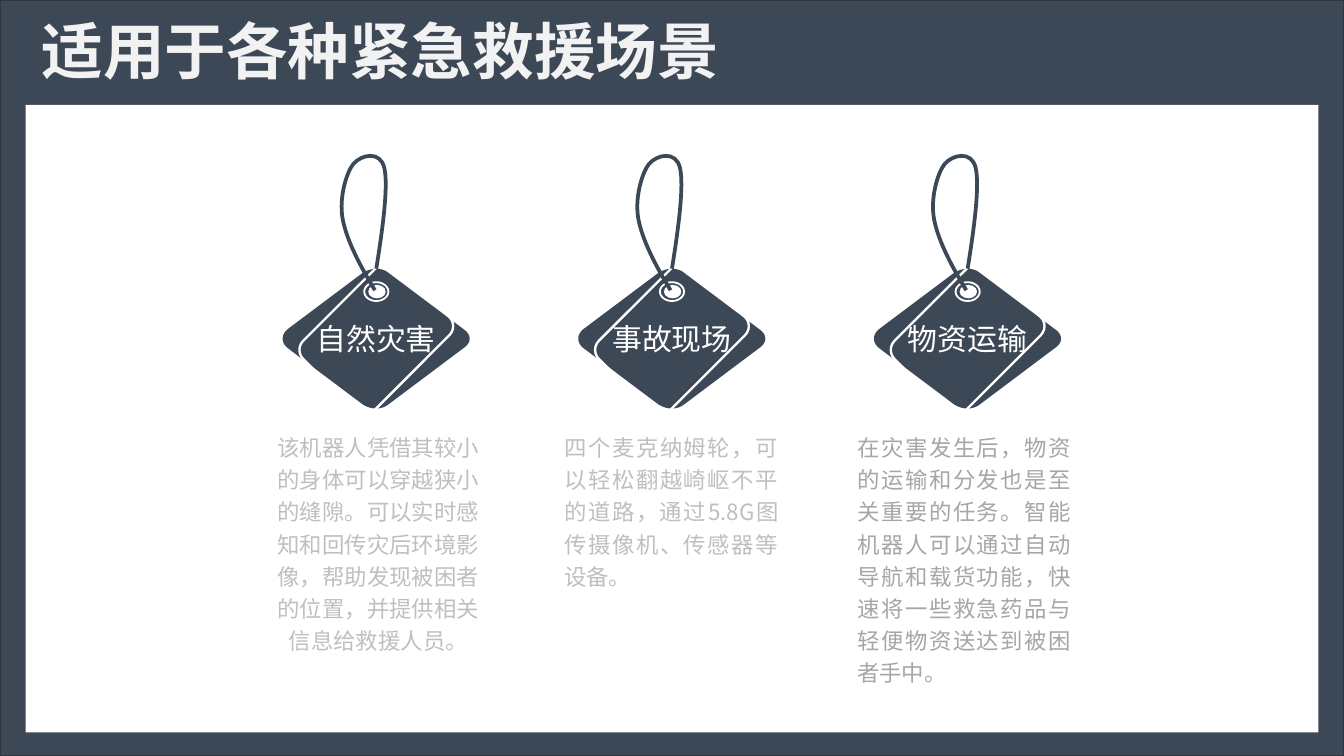
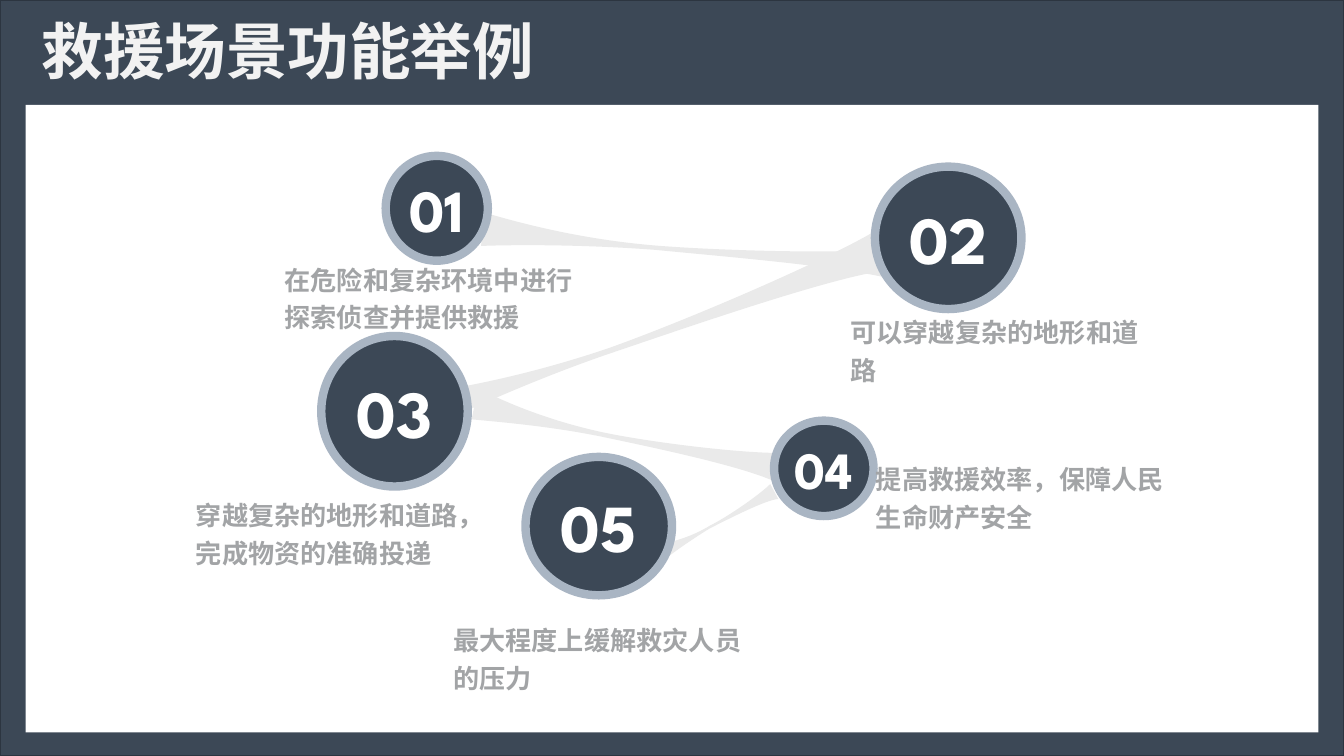
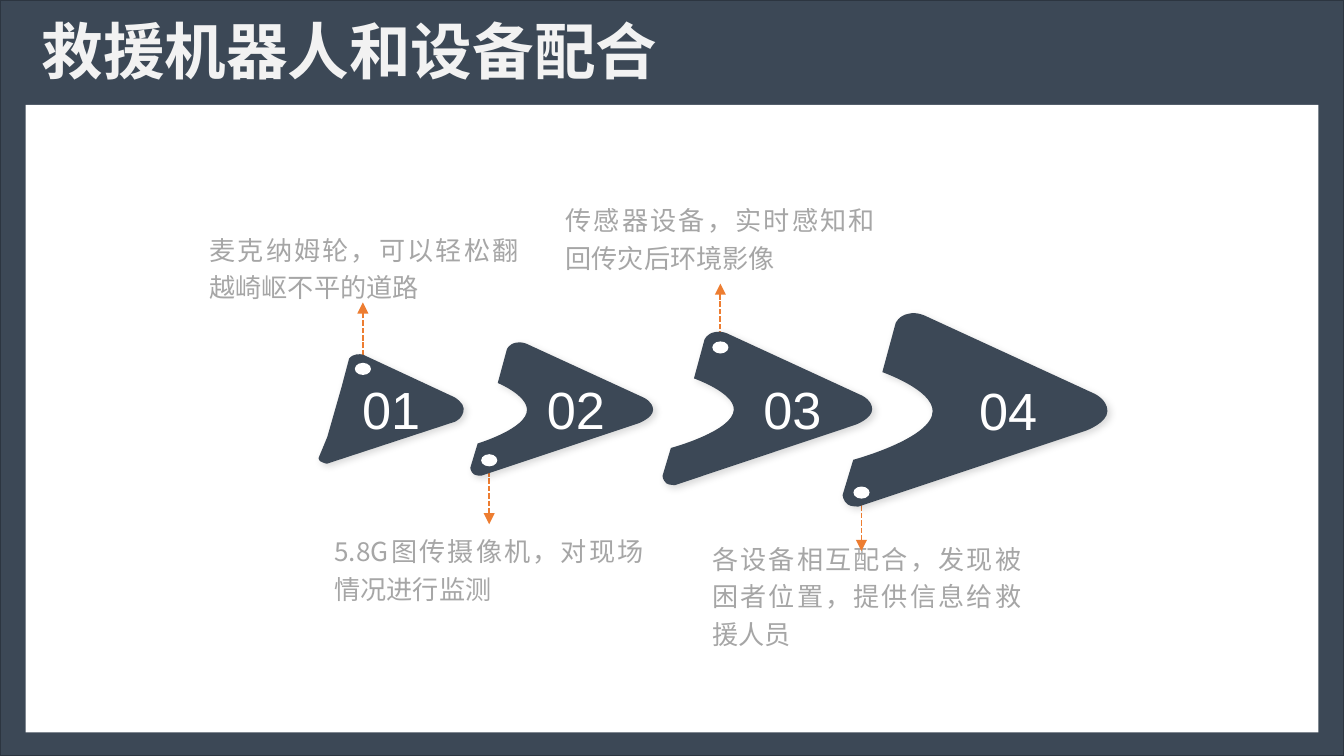
from dataclasses import dataclass
from math import cos, radians, sin

from lxml import etree
from pptx import Presentation
from pptx.dml.color import RGBColor
from pptx.enum.dml import MSO_LINE
from pptx.enum.shapes import MSO_CONNECTOR, MSO_SHAPE
from pptx.enum.text import MSO_ANCHOR, PP_ALIGN
from pptx.oxml.ns import qn
from pptx.util import Inches, Pt

RECT = MSO_SHAPE.RECTANGLE
ROUNDED = MSO_SHAPE.ROUNDED_RECTANGLE
OVAL = MSO_SHAPE.OVAL
STRAIGHT = MSO_CONNECTOR.STRAIGHT
DASHED = MSO_LINE.SQUARE_DOT
LEFT, CENTER, JUSTIFY = PP_ALIGN.LEFT, PP_ALIGN.CENTER, PP_ALIGN.JUSTIFY
TOP, MIDDLE = MSO_ANCHOR.TOP, MSO_ANCHOR.MIDDLE

GRID_COLUMNS = 10
CURVE_STEPS = 40
NO_INSETS = (0, 0, 0, 0)
BOX_INSETS = (0.1, 0.05, 0.1, 0.05)


@dataclass(frozen=True)
class Theme:
    navy: str = "3C4856"
    navy_edge: str = "2C3540"
    white: str = "FFFFFF"
    heading: str = "F2F2F2"
    pale_text: str = "BFBFBF"
    soft_text: str = "A6A6A6"
    label_text: str = "A2A4A6"
    ring: str = "A9B5C3"
    ribbon: str = "EAEAEA"
    pointer: str = "ED7D31"
    shade: str = "000000"
    body_font: str = "Noto Sans CJK SC"
    badge_font: str = "League Spartan"
    number_font: str = "Arial"
    title_size: int = 33
    number_size: int = 28
    tag_size: int = 16
    label_size: int = 14
    note_size: int = 12


THEME = Theme()


def write(shape, text, *, size, color, font=THEME.body_font, bold=False,
          align=LEFT, anchor=MIDDLE, spacing=None, insets=BOX_INSETS,
          centered_block=False):
    frame = shape.text_frame
    frame.word_wrap = True
    frame.vertical_anchor = anchor
    (frame.margin_left, frame.margin_top,
     frame.margin_right, frame.margin_bottom) = map(Inches, insets)
    if centered_block:
        frame._txBody.bodyPr.set("anchorCtr", "1")
    paragraph = frame.paragraphs[0]
    paragraph.alignment = align
    paragraph.line_spacing = spacing
    run = paragraph.add_run()
    run.text = text
    run.font.size = Pt(size)
    run.font.bold = bold
    run.font.color.rgb = RGBColor.from_string(color)
    run.font.name = font
    latin = run.font._element.find(qn("a:latin"))
    latin.addnext(latin.makeelement(qn("a:ea"), {"typeface": font}))


def flatten(steps):
    points = list(steps[0])
    for step in steps[1:]:
        if len(step) == 1:
            points.extend(step)
            continue
        corners = (points[-1], *step)
        for index in range(1, CURVE_STEPS + 1):
            t = index / CURVE_STEPS
            u = 1 - t
            weights = (u ** 3, 3 * u * u * t, 3 * u * t * t, t ** 3)
            points.append(tuple(
                round(sum(w * corner[axis] for w, corner in zip(weights, corners)))
                for axis in (0, 1)))
    return points


def rotate(point, pivot, degrees):
    angle = radians(degrees)
    dx, dy = point[0] - pivot[0], point[1] - pivot[1]
    return (pivot[0] + dx * cos(angle) - dy * sin(angle),
            pivot[1] + dx * sin(angle) + dy * cos(angle))


def bend(shape, steps, closed):
    path = shape._element.spPr.find(".//" + qn("a:path"))
    for segment in list(path):
        path.remove(segment)
    for index, step in enumerate(steps):
        kind = "a:cubicBezTo" if len(step) == 3 else "a:lnTo" if index else "a:moveTo"
        segment = etree.SubElement(path, qn(kind))
        for x, y in step:
            etree.SubElement(segment, qn("a:pt"),
                             x=str(x - shape.left), y=str(y - shape.top))
    if closed:
        etree.SubElement(path, qn("a:close"))


class Deck:
    def __init__(self, theme):
        self.theme = theme
        self.show = Presentation()
        self.show.slide_width = Inches(10)
        self.show.slide_height = self.show.slide_width * 9 // 16
        self.cell = self.show.slide_width // GRID_COLUMNS
        self.rows = self.show.slide_height / self.cell
        self.slide = None

    def cells(self, *lengths):
        return tuple(round(length * self.cell) for length in lengths)

    def page(self, title):
        self.slide = self.show.slides.add_slide(self.show.slide_layouts[6])
        self.shape(RECT, 0, 0, GRID_COLUMNS, self.rows, fill=self.theme.navy,
                   line=self.theme.navy_edge, weight=1)
        self.shape(RECT, 0.19, 0.78, 9.62, 4.67, fill=self.theme.white)
        self.text(title, 0.21, 0.03, 8.62, 0.75, size=self.theme.title_size,
                  color=self.theme.heading, bold=True, spacing=0.9)

    def paint(self, shape, fill, line, weight):
        shape.shadow.inherit = False
        if fill:
            shape.fill.solid()
            shape.fill.fore_color.rgb = RGBColor.from_string(fill)
        else:
            shape.fill.background()
        if line:
            shape.line.color.rgb = RGBColor.from_string(line)
            shape.line.width = Pt(weight)
        else:
            shape.line.fill.background()
        return shape

    def shape(self, kind, x, y, width, height, fill=None, line=None, weight=1):
        shape = self.slide.shapes.add_shape(kind, *self.cells(x, y, width, height))
        return self.paint(shape, fill, line, weight)

    def outline(self, steps, at=(0, 0), scale=(1, 1), fill=None, line=None,
                weight=1, closed=True, turn=0, pivot=(0, 0)):
        placed = []
        for step in steps:
            points = [(at[0] + x * scale[0], at[1] + y * scale[1])
                      for x, y in zip(step[::2], step[1::2])]
            placed.append([self.cells(*rotate(point, pivot, -turn))
                           for point in points])
        start, *rest = flatten(placed)
        builder = self.slide.shapes.build_freeform(*start)
        builder.add_line_segments(rest, close=closed)
        shape = builder.convert_to_shape()
        bend(shape, placed, closed)
        shape.rotation = turn
        return self.paint(shape, fill, line, weight)

    def text(self, text, x, y, width, height, **style):
        box = self.slide.shapes.add_textbox(*self.cells(x, y, width, height))
        write(box, text, **style)

    def arrow(self, x, y, end_y):
        arrow = self.slide.shapes.add_connector(STRAIGHT, *self.cells(x, y, x, end_y))
        arrow.line.color.rgb = RGBColor.from_string(self.theme.pointer)
        arrow.line.width = Pt(1)
        arrow.line.dash_style = DASHED
        properties = arrow._element.spPr
        etree.SubElement(properties.find(qn("a:ln")), qn("a:tailEnd"), type="triangle")
        etree.SubElement(properties, qn("a:effectLst"))

    def cast_shadow(self, shape):
        effects = shape._element.spPr.find(qn("a:effectLst"))
        shadow = etree.SubElement(
            effects, qn("a:outerShdw"), blurRad=str(Pt(4)), dist=str(Pt(2)),
            dir="2700000", algn="tl", rotWithShape="0")
        color = etree.SubElement(shadow, qn("a:srgbClr"), val=self.theme.shade)
        etree.SubElement(color, qn("a:alpha"), val="15000")

    def group(self, *shapes):
        self.slide.shapes.add_group_shape(shapes)


TAG = [(0, 2), (0.03, 2, 0.07, 2.01, 0.09, 2.03), (0.65, 2.45),
       (0.71, 2.49, 0.71, 2.55, 0.65, 2.59), (0.09, 3.01),
       (0.04, 3.05, -0.04, 3.05, -0.1, 3.01), (-0.66, 2.59),
       (-0.71, 2.55, -0.71, 2.49, -0.66, 2.45), (-0.1, 2.03),
       (-0.07, 2.01, -0.03, 2, 0, 2)]
STRING = [(-0.01, 2.16), (-0.12, 1.98, -0.22, 1.79, -0.25, 1.63),
          (-0.28, 1.47, -0.22, 1.28, -0.17, 1.22),
          (-0.11, 1.15, 0.03, 1.12, 0.06, 1.25),
          (0.09, 1.38, 0.05, 1.69, 0, 2)]


def scenarios(deck):
    theme = deck.theme
    deck.page("适用于各种紧急救援场景")
    scenes = [
        ("自然灾害", "该机器人凭借其较小的身体可以穿越狭小的缝隙。可以实时感知和回传灾后环境影像，"
         "帮助发现被困者的位置，并提供相关信息给救援人员。", 1.78, CENTER, theme.pale_text),
        ("事故现场", "四个麦克纳姆轮，可以轻松翻越崎岖不平的道路，通过5.8G图传摄像机、传感器等设备。",
         1.29, JUSTIFY, theme.pale_text),
        ("物资运输", "在灾害发生后，物资的运输和分发也是至关重要的任务。智能机器人可以通过自动导航和"
         "载货功能，快速将一些救急药品与轻便物资送达到被困者手中。", 2.02, JUSTIFY, theme.soft_text),
    ]
    for index, (name, note, height, align, color) in enumerate(scenes):
        center = GRID_COLUMNS / 2 + (index - 1) * 2.2
        tag = deck.outline(TAG, at=(center, 0), fill=theme.navy)
        write(tag, name, size=theme.tag_size, color=theme.white, align=CENTER,
              insets=NO_INSETS)
        seam = deck.shape(ROUNDED, center - 0.37, 2.02, 0.74, 0.99,
                          line=theme.white, weight=1.25)
        seam.adjustments[0] = 0.13
        seam.rotation = 45
        deck.shape(OVAL, center - 0.06, 2.12, 0.13, 0.1, fill=theme.white)
        deck.shape(OVAL, center - 0.09, 2.1, 0.18, 0.14, line=theme.white)
        deck.outline(STRING, at=(center, 0), line=theme.navy, weight=2, closed=False)
        deck.text(note, 1.92 + 2.18 * index, 3.14, 1.79, height,
                  size=theme.note_size, color=color, align=align, anchor=TOP,
                  spacing=1.2)


RIBBONS = [
    (331.9, (5.34, 3.88), [
        (4.9, 4.05), (5.01, 4.03, 5.15, 3.99, 5.28, 3.91),
        (5.42, 3.84, 5.65, 3.68, 5.73, 3.6), (5.79, 3.71),
        (5.69, 3.72, 5.42, 3.86, 5.28, 3.93),
        (5.15, 4.01, 5.02, 4.1, 4.96, 4.15), (4.9, 4.05)]),
    (11.8, (4.68, 3.25), [
        (3.56, 2.89), (3.79, 3.01, 4.12, 3.14, 4.5, 3.22),
        (4.89, 3.3, 5.58, 3.38, 5.85, 3.37), (5.8, 3.6),
        (5.58, 3.48, 4.86, 3.33, 4.48, 3.25),
        (4.09, 3.17, 3.71, 3.14, 3.51, 3.12), (3.56, 2.89)]),
    (4.9, (5.14, 1.84), [
        (3.6, 1.58), (3.93, 1.68, 4.39, 1.79, 4.91, 1.83),
        (5.43, 1.87, 6.35, 1.89, 6.7, 1.85), (6.68, 2.09),
        (6.37, 1.99, 5.39, 1.91, 4.88, 1.86),
        (4.36, 1.82, 3.85, 1.82, 3.58, 1.83), (3.6, 1.58)]),
    (340.9, (4.79, 2.48), [
        (2.97, 2.95), (3.39, 2.9, 3.94, 2.79, 4.53, 2.59),
        (5.12, 2.38, 6.14, 1.94, 6.51, 1.72), (6.61, 2.01),
        (6.22, 2.05, 5.1, 2.44, 4.51, 2.64),
        (3.93, 2.84, 3.37, 3.1, 3.07, 3.24), (2.97, 2.95)]),
]


def functions(deck):
    theme = deck.theme
    deck.page("救援场景功能举例")
    for turn, pivot, steps in RIBBONS:
        deck.outline(steps, fill=theme.ribbon, turn=turn, pivot=pivot)
    raised = (0, 0, 0, 0.28)
    badges = [
        ((2.87, 1.16, 0.76, 0.78), 32, (2.03, 1.9, 2.32, 0.6), NO_INSETS,
         "在危险和复杂环境中进行探索侦查并提供救援"),
        ((6.51, 1.24, 1.09, 1.06), 36, (6.24, 2.43, 2.32, 0.6), raised,
         "可以穿越复杂的地形和道路"),
        ((2.39, 2.5, 1.09, 1.12), 36, (1.37, 3.79, 2.32, 0.6), raised,
         "穿越复杂的地形和道路，完成物资的准确投递"),
        ((5.76, 3.13, 0.74, 0.71), 28, (6.5, 3.3, 2.18, 0.77), NO_INSETS,
         "提高救援效率，保障人民生命财产安全"),
        ((3.91, 3.4, 1.09, 1.03), 36, (3.35, 4.58, 2.19, 0.6), NO_INSETS,
         "最大程度上缓解救灾人员的压力"),
    ]
    for number, (circle, size, label_area, insets, label) in enumerate(badges, 1):
        badge = deck.shape(OVAL, *circle, fill=theme.navy, line=theme.ring, weight=4.5)
        write(badge, f"{number:02}", size=size, color=theme.white,
              font=theme.badge_font, bold=True, align=CENTER, insets=NO_INSETS)
        deck.text(label, *label_area, size=theme.label_size, color=theme.label_text,
                  bold=True, spacing=1.2, insets=insets, centered_block=True)


HEAD = [(0.16, 0.3), (0.21, 0.05, 0.21, 0.05, 0.21, 0.05),
        (0.21, 0.05, 0.22, 0.02, 0.26, 0.01), (0.3, 0, 0.32, 0.02, 0.32, 0.02),
        (0.94, 0.4, 0.94, 0.4, 0.94, 0.4), (0.94, 0.4, 1, 0.45, 1, 0.5),
        (1, 0.59, 0.94, 0.62, 0.94, 0.62), (0.06, 1, 0.06, 1, 0.06, 1),
        (0.06, 1, 0.04, 1, 0.03, 0.99), (0, 0.98, 0, 0.95, 0, 0.95),
        (0.06, 0.76, 0.06, 0.76, 0.06, 0.76), (0.16, 0.3)]


def notched_arrow(notch):
    return [(1, 0.51), (1, 0.57, 0.92, 0.61, 0.92, 0.61),
            (0.06, 1, 0.06, 1, 0.06, 1), (0.06, 1, 0.03, 1, 0.02, 0.99),
            (0, 0.97, 0, 0.94, 0, 0.94), (0.04, 0.76, 0.04, 0.76, 0.04, 0.76),
            (0.04, 0.76, notch, 0.65, notch, 0.51),
            (notch, 0.4, 0.15, 0.31, 0.15, 0.31), (0.2, 0.06, 0.2, 0.06, 0.2, 0.06),
            (0.2, 0.06, 0.21, 0.02, 0.25, 0.01), (0.28, 0, 0.31, 0.02, 0.31, 0.02),
            (0.95, 0.42, 0.95, 0.42, 0.95, 0.42), (0.95, 0.42, 1, 0.45, 1, 0.51)]


def teamwork(deck):
    theme = deck.theme
    deck.page("救援机器人和设备配合")
    up, down = -0.45, 0.45
    stages = [
        (HEAD, (2.37, 2.63), (1.08, 0.82), 0.1, (2.64, 2.7), 2.7, up,
         (1.46, 1.67, 2.5, 0.61), "麦克纳姆轮，可以轻松翻越崎岖不平的道路"),
        (notched_arrow(0.31), (3.5, 2.54), (1.36, 1), 0.31, (3.58, 3.38), 3.45, down,
         (2.39, 3.87, 2.5, 0.7), "5.8G图传摄像机，对现场情况进行监测"),
        (notched_arrow(0.34), (4.93, 2.46), (1.56, 1.15), 0.47, (5.3, 2.54), 2.56, up,
         (4.11, 1.45, 2.5, 0.61), "传感器设备，实时感知和回传灾后环境影像"),
        (notched_arrow(0.34), (6.27, 2.32), (1.97, 1.45), 0.59, (6.35, 3.62), 3.65, down,
         (5.2, 3.97, 2.5, 0.89), "各设备相互配合，发现被困者位置，提供信息给救援人员"),
    ]
    for number, stage in enumerate(stages, 1):
        steps, corner, scale, inset, (hole_x, hole_y), pin_y, reach, area, note = stage
        deck.text(note, *area, size=theme.label_size, color=theme.soft_text,
                  align=JUSTIFY, spacing=1.2)
        deck.arrow(hole_x + 0.06, pin_y, pin_y + reach)
        head = deck.outline(steps, at=corner, scale=scale, fill=theme.navy)
        deck.cast_shadow(head)
        write(head, f"{number:02}", size=theme.number_size, color=theme.white,
              font=theme.number_font, align=CENTER, insets=(inset, 0.05, 0.1, 0.05))
        hole = deck.shape(OVAL, hole_x, hole_y, 0.12, 0.09, fill=theme.white)
        deck.group(head, hole)


def main():
    deck = Deck(THEME)
    scenarios(deck)
    functions(deck)
    teamwork(deck)
    deck.show.save("out.pptx")


if __name__ == "__main__":
    main()
